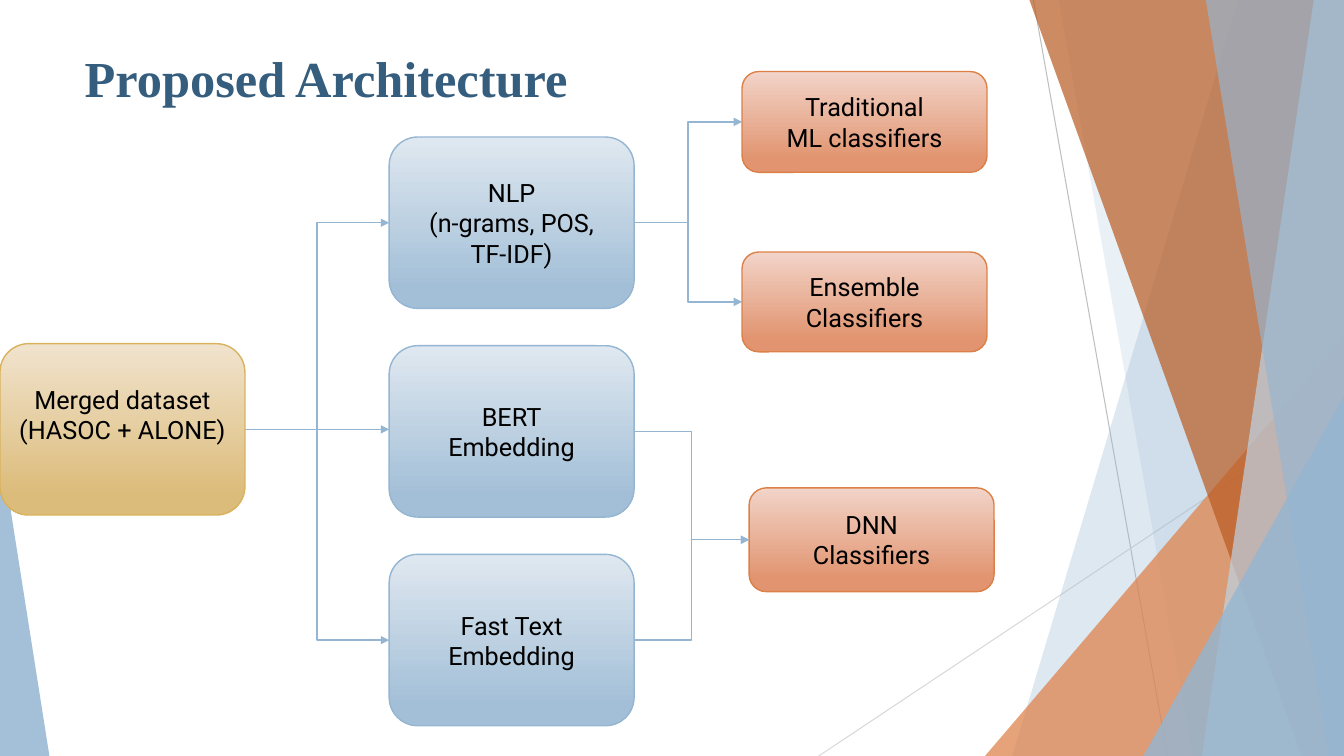
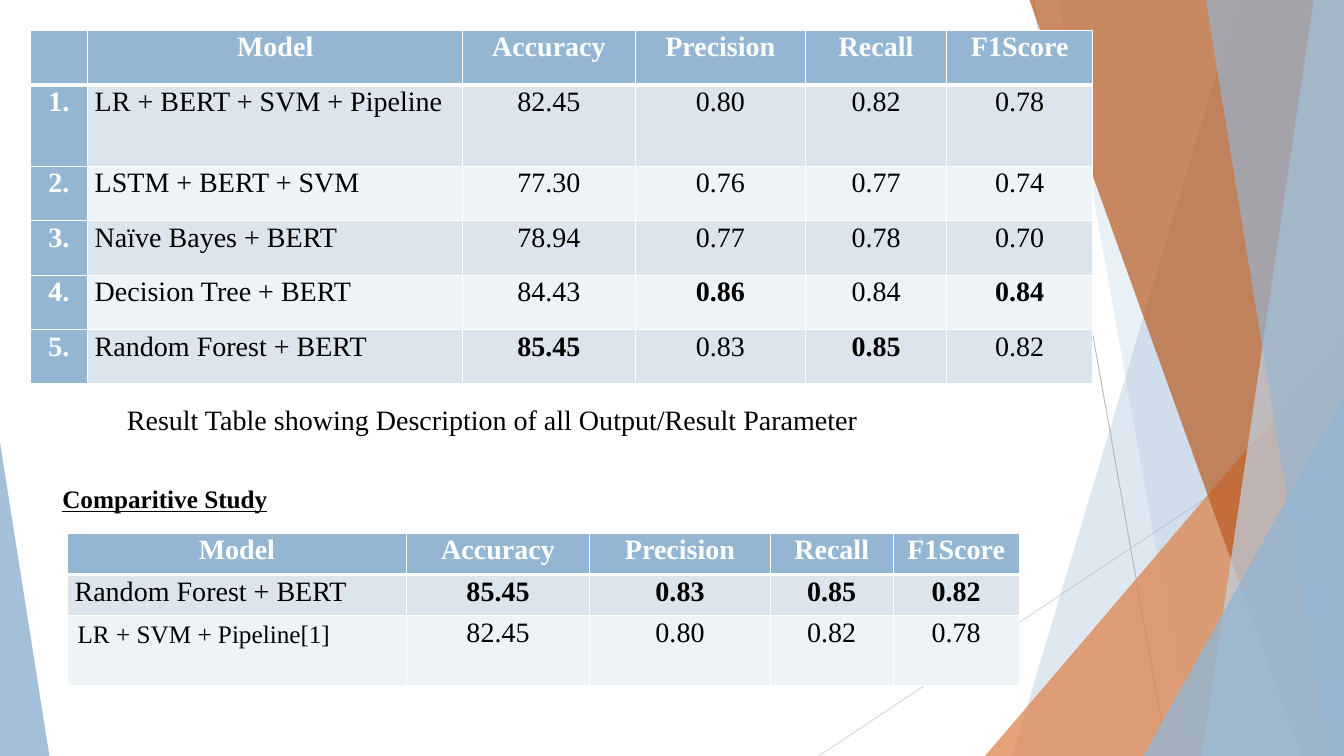
from pptx import Presentation
from pptx.dml.color import RGBColor
from pptx.enum.shapes import MSO_CONNECTOR, MSO_SHAPE
from pptx.enum.text import MSO_ANCHOR, PP_ALIGN
from pptx.oxml import parse_xml
from pptx.oxml.ns import nsdecls, qn
from pptx.oxml.xmlchemy import OxmlElement
from pptx.util import Inches, Pt

SERIF, SANS = "Times New Roman", "Roboto"
BLUE, WHITE, BLACK = "94B6D2", "FFFFFF", "000000"
BANDS = ("DCE5EE", "EEF3F7")
WIDE, HIGH = 13.33, 7.5

# Backdrop: thin lines, then corner lists or right triangles with colour and opacity
RAYS = [((10.25, 0), (11.58, HIGH), "BFBFBF"), ((WIDE, 4.03), (8.12, HIGH), "D9D9D9")]
FACETS = [
    ((12.28, 10.04), BLUE, 30),
    ((10.5, 11.83), BLUE, 20),
    ((9.77, 3.33, 3.56, 4.17, 1), "DD8047", 72),
    ((10.21, 12.91), "B95B22", 70),
    ((13.03, 11.92), "BFD3E4", 70),
    ((11.96, 13.18), BLUE, 65),
    ((11.34, 3.93, 1.99, 3.57, 1), BLUE, 80),
    ((0, 4.39, 0.49, 3.11, 0), BLUE, 85),
]

TITLE = "Proposed Architecture"
STYLES = {  # gradient top, gradient bottom, outline
    "data": ("F0E3CD", "DCBC7B", "D8B25C"),
    "text": ("DFE8F0", "A3BFD7", BLUE),
    "model": ("F2D4C9", "E1946F", "DD8047"),
}
BOX_W = 2.43
BOXES = {  # left, top, height, style, lines
    "data": (0, 3.41, 1.7, "data", ["Merged dataset", "(HASOC + ALONE)"]),
    "nlp": (3.86, 1.36, 1.7, "text", ["NLP", "(n-grams, POS,", "TF-IDF)"]),
    "bert": (3.86, 3.43, 1.7, "text", ["BERT", "Embedding"]),
    "fast": (3.86, 5.5, 1.7, "text", ["Fast Text", "Embedding"]),
    "trad": (7.36, 0.71, 1, "model", ["Traditional", "ML classifiers"]),
    "ens": (7.36, 2.5, 0.99, "model", ["Ensemble", "Classifiers"]),
    "dnn": (7.43, 4.84, 1.03, "model", ["DNN", "Classifiers"]),
}
LINKS = [("data", "fast"), ("data", "nlp"), ("nlp", "ens"),
         ("bert", "dnn"), ("fast", "dnn"), ("nlp", "trad")]

HEADS = ["Model", "Accuracy", "Precision", "Recall", "F1Score"]
RESULTS = [
    ["", *HEADS],
    ["1.", "LR + BERT + SVM + Pipeline", "82.45", "0.80", "0.82", "0.78"],
    ["2.", "LSTM + BERT + SVM", "77.30", "0.76", "0.77", "0.74"],
    ["3.", "Naïve Bayes + BERT", "78.94", "0.77", "0.78", "0.70"],
    ["4.", "Decision Tree + BERT", "84.43", "0.86", "0.84", "0.84"],
    ["5.", "Random Forest + BERT", "85.45", "0.83", "0.85", "0.82"],
]
STUDY = [
    HEADS,
    ["Random Forest + BERT", "85.45", "0.83", "0.85", "0.82"],
    ["LR + SVM + Pipeline[1]", "82.45", "0.80", "0.82", "0.78"],
]
TABLES = [  # left, top, column widths, row heights, rows
    (0.3, 0.3, [0.57, 3.72, 1.71, 1.69, 1.4, 1.45], [0.54, 0.81] + [0.54] * 4, RESULTS),
    (0.67, 5.29, [3.36, 1.82, 1.79, 1.22, 1.25], [0.41, 0.41, 0.69], STUDY),
]
NOTES = [
    ((1.16, 3.94, 12.01, 0.44), "Result Table showing Description of all Output/Result Parameter",
     {"size": Pt(20)}),
    ((0.52, 4.75, 7.26, 0.4), "Comparitive Study",
     {"size": Pt(18), "bold": True, "underline": True}),
]


def rgb(code):
    return RGBColor.from_string(code)


def place(*nums):
    return [Inches(n) for n in nums]


def assign(obj, form):
    for key, val in form.items():
        setattr(obj, key, val)


def write(frame, lines, color, align, form, para={}):
    """Put one styled paragraph per line into a text frame."""
    frame.text = "\n".join(lines)
    for par in frame.paragraphs:
        assign(par, {"alignment": align, **para})
        for run in par.runs:
            assign(run.font, form)
            run.font.color.rgb = rgb(color)


def link(shapes, kind, start, end, color, width):
    line = shapes.add_connector(kind, *place(*start, *end))
    line.line.color.rgb = rgb(color)
    line.line.width = Pt(width)
    line.element.spPr.append(OxmlElement("a:effectLst"))
    return line


def arrow(line):
    tip = OxmlElement("a:tailEnd")
    tip.set("type", "triangle")
    line.line._get_or_add_ln().append(tip)


def facet(shapes, form, color, alpha):
    """Draw a right triangle, or a panel slanting from top x to foot x."""
    if len(form) == 5:
        shape = shapes.add_shape(MSO_SHAPE.ISOSCELES_TRIANGLE, *place(*form[:4]))
        shape.adjustments[0] = form[4]
    else:
        top, foot = form
        path = shapes.build_freeform(*place(top, 0))
        path.add_line_segments([place(*p) for p in [(WIDE, 0), (WIDE, HIGH), (foot, HIGH)]])
        shape = path.convert_to_shape()
    shape.shadow.inherit = False
    shape.line.fill.background()
    shape.fill.solid()
    shape.fill.fore_color.rgb = rgb(color)
    clear = OxmlElement("a:alpha")
    clear.set("val", str(alpha * 1000))
    shape.element.spPr.find(qn("a:solidFill"))[0].append(clear)


def backdrop(slide, master):
    """Draw the shared facets as a group and move it behind the master's parts."""
    group = slide.shapes.add_group_shape()
    for start, end, color in RAYS:
        link(group.shapes, MSO_CONNECTOR.STRAIGHT, start, end, color, 0.75)
    for item in FACETS:
        facet(group.shapes, *item)
    tree = master.shapes.element
    tree.insert(2, group.element)
    for num, node in enumerate(tree.iter(qn("p:cNvPr")), 1):
        node.set("id", str(num))


def box(shapes, left, top, high, style, lines):
    shape = shapes.add_shape(MSO_SHAPE.ROUNDED_RECTANGLE, *place(left, top, BOX_W, high))
    light, dark, edge = STYLES[style]
    shape.shadow.inherit = False
    shape.fill.gradient()
    shape.fill.gradient_angle = 270
    for stop, spot, color in zip(shape.fill.gradient_stops, (0, 0.88), (light, dark)):
        stop.position = spot
        stop.color.rgb = rgb(color)
    shape.line.color.rgb = rgb(edge)
    shape.line.width = Pt(1)
    foot = 0.34 if style == "data" else 0.05
    assign(shape.text_frame, {
        "word_wrap": True, "vertical_anchor": MSO_ANCHOR.MIDDLE,
        "margin_left": Inches(0.05), "margin_right": Inches(0.05),
        "margin_bottom": Inches(foot)})
    write(shape.text_frame, lines, BLACK, PP_ALIGN.CENTER, {"name": SANS, "size": Pt(18)})
    return shape


def border(cell, head):
    props = cell._tc.get_or_add_tcPr()
    for spot, side in enumerate("LRTB"):
        width = Pt(3 if head and side == "B" else 1)
        props.insert(spot, parse_xml(
            f'<a:ln{side} {nsdecls("a")} w="{width}"><a:solidFill>'
            f'<a:srgbClr val="{WHITE}"/></a:solidFill></a:ln{side}>'))


def grid(shapes, left, top, cols, rows, data):
    """Add a table whose best score in each column is bold."""
    size = place(left, top, sum(cols), sum(rows))
    table = shapes.add_table(len(rows), len(cols), *size).table
    for col, width in zip(table.columns, cols):
        col.width = Inches(width)
    for row, high in zip(table.rows, rows):
        row.height = Inches(high)
    name = data[0].index("Model")
    best = [max(col[1:]) for col in zip(*data)]
    for r, row in enumerate(data):
        for c, text in enumerate(row):
            cell = table.cell(r, c)
            head = r == 0 or c < name
            cite = text.endswith("]")
            cell.fill.solid()
            cell.fill.fore_color.rgb = rgb(BLUE if head else BANDS[(r - 1) % 2])
            border(cell, r == 0)
            para = {}
            if not cite:
                assign(cell, {"margin_left": Inches(0.07), "margin_right": Inches(0.07),
                              "margin_top": 0, "margin_bottom": 0})
                para = {"line_spacing": 1.05, "space_before": Pt(8.1)}
            bold = head or (c > name and text == best[c])
            align = PP_ALIGN.LEFT if c == name and r else PP_ALIGN.CENTER
            write(cell.text_frame, [text], WHITE if head else BLACK, align,
                  {"name": SERIF, "size": Pt(18 if cite else 20), "bold": bold}, para)


def design(slide):
    title = slide.shapes.title
    assign(title, dict(zip(("left", "top", "width", "height"), place(0.74, 0.42, 9.4, 0.91))))
    title.text_frame.vertical_anchor = MSO_ANCHOR.TOP
    write(title.text_frame, [TITLE], "355D7E", PP_ALIGN.LEFT,
          {"name": SERIF, "size": Pt(36), "bold": True})
    shapes = slide.shapes
    nodes = {key: box(shapes, *item) for key, item in BOXES.items()}
    for start, end in LINKS:
        line = link(shapes, MSO_CONNECTOR.ELBOW, (0, 0), (1, 1), BLUE, 1)
        line.begin_connect(nodes[start], 3)
        line.end_connect(nodes[end], 1)
        arrow(line)
    arrow(link(shapes, MSO_CONNECTOR.STRAIGHT, (3.03, 4.26), (3.86, 4.26), BLUE, 1))


def scores(slide):
    for item in TABLES:
        grid(slide.shapes, *item)
    for spot, text, form in NOTES:
        frame = slide.shapes.add_textbox(*place(*spot)).text_frame
        frame.word_wrap = True
        write(frame, [text], BLACK, PP_ALIGN.JUSTIFY, {"name": SERIF, **form})


def main():
    prs = Presentation()
    prs.slide_width, prs.slide_height = place(WIDE, HIGH)
    first = prs.slides.add_slide(prs.slide_layouts.get_by_name("Title Only"))
    backdrop(first, prs.slide_master)
    design(first)
    scores(prs.slides.add_slide(prs.slide_layouts.get_by_name("Blank")))
    prs.save("out.pptx")


if __name__ == "__main__":
    main()
